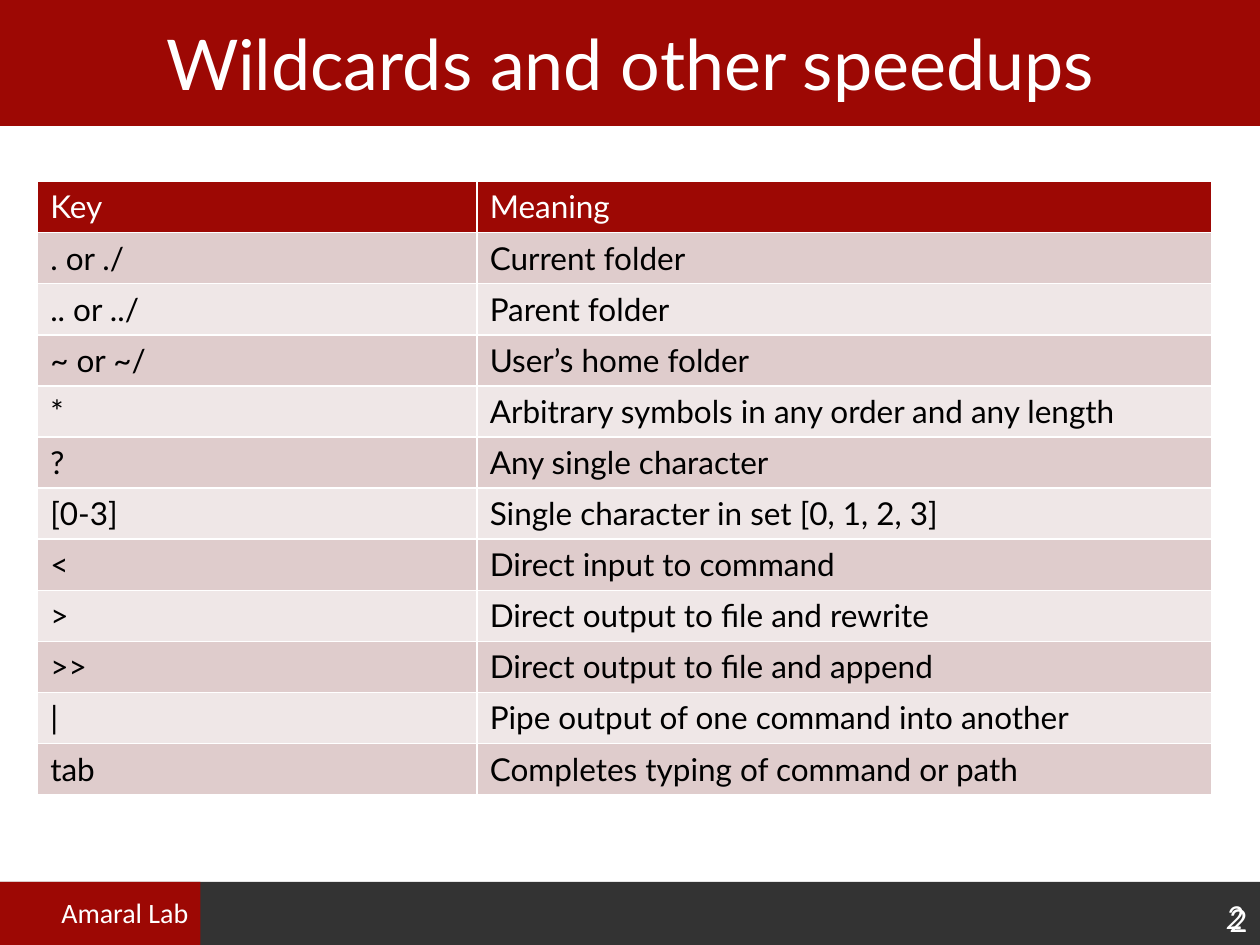
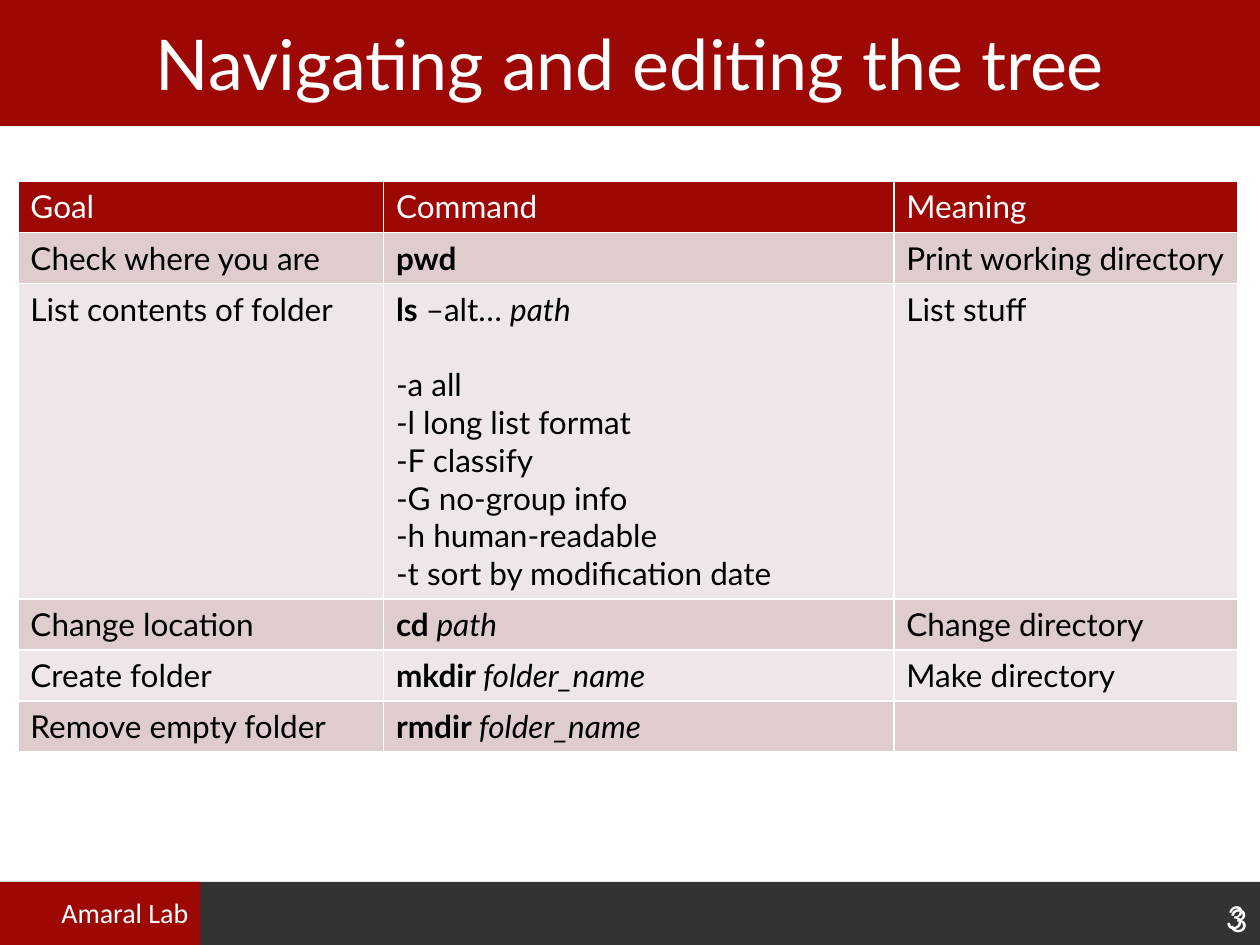
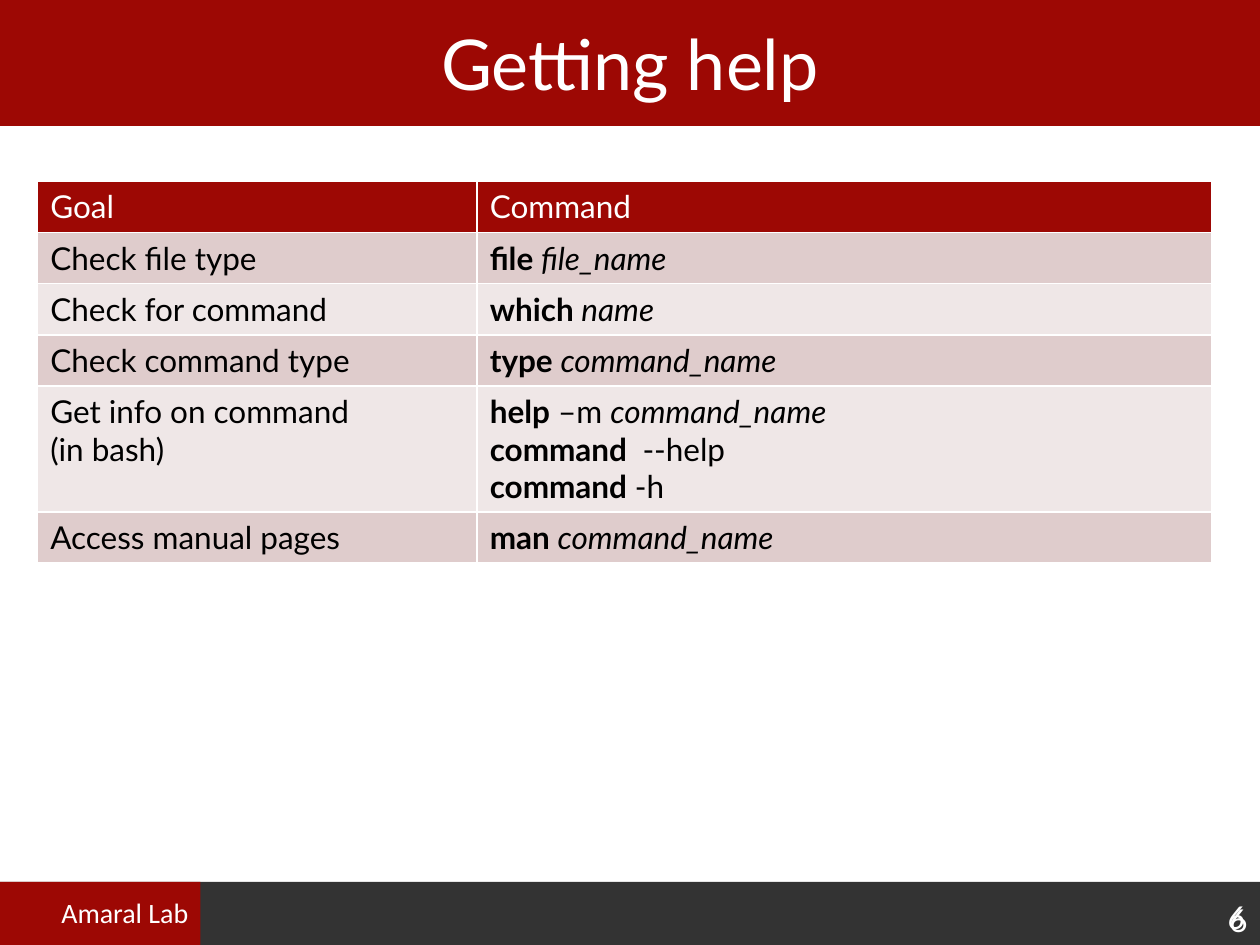
import pptx
import pptx.dml.color
import pptx.enum.shapes
import pptx.enum.text
import pptx.oxml
import pptx.oxml.ns
import pptx.util

Cm, Pt = pptx.util.Cm, pptx.util.Pt
RGBColor = pptx.dml.color.RGBColor
ALIGN, ANCHOR = pptx.enum.text.PP_ALIGN, pptx.enum.text.MSO_ANCHOR

RED = RGBColor(0x9D, 0x08, 0x04)
CHARCOAL = RGBColor(0x33, 0x33, 0x33)
WHITE = RGBColor(0xFF, 0xFF, 0xFF)
BLACK = RGBColor(0x00, 0x00, 0x00)
BAND_COLORS = [RGBColor(0xEF, 0xE7, 0xE7), RGBColor(0xDF, 0xCC, 0xCC)]
WIDTH, HEIGHT = Cm(25.4), Cm(19.05)
TITLE_HEIGHT, FOOTER_HEIGHT = Cm(2.54), Cm(1.27)
FOOTER_TOP = HEIGHT - FOOTER_HEIGHT
TABLE_TOP, ROW_HEIGHT = Cm(3.66), Cm(1.03)
LINE_GAP = Pt(21.6)


def add_run(p, text, size=18, color=BLACK, name="Lato", bold=False, italic=False):
    r = p.add_run()
    r.text = text
    r.font.color.rgb = color
    font = {"size": Pt(size), "name": name, "bold": bold, "italic": italic}
    for key, value in font.items():
        setattr(r.font, key, value)


def add_border(cell):
    for side in "LRTB":
        cell._tc.get_or_add_tcPr().append(pptx.oxml.parse_xml(
            f'<a:ln{side} {pptx.oxml.ns.nsdecls("a")} w="12700"><a:solidFill>'
            f'<a:srgbClr val="{WHITE}"/></a:solidFill></a:ln{side}>'))


# A cell is a string or a list of paragraphs;
# a tuple paragraph holds its bold, plain and italic parts.
slides = [
    {"title": "Wildcards and other speedups", "number": "2",
     "left": Cm(0.76), "columns": [8.86, 14.81],
     "rows": [
         ["Key", "Meaning"],
         [". or ./", "Current folder"],
         [".. or ../", "Parent folder"],
         ["~ or ~/", "User’s home folder"],
         ["*", "Arbitrary symbols in any order and any length"],
         ["?", "Any single character"],
         ["[0-3]", "Single character in set [0, 1, 2, 3]"],
         ["<", "Direct input to command"],
         [">", "Direct output to file and rewrite"],
         [">>", "Direct output to file and append"],
         ["|", "Pipe output of one command into another"],
         ["tab", "Completes typing of command or path"],
     ]},
    {"title": "Navigating and editing the tree", "number": "3",
     "left": Cm(0.36), "columns": [7.37, 10.29, 6.93],
     "rows": [
         ["Goal", "Command", "Meaning"],
         ["Check where you are", [("pwd", "", "")], "Print working directory"],
         ["List contents of folder",
          [("ls", " –alt… ", "path"), "-a all", "-l long list format",
           "-F classify", "-G no-group info", "-h human-readable",
           "-t sort by modification date"],
          "List stuff"],
         ["Change location", [("cd ", "", "path")], "Change directory"],
         ["Create folder", [("mkdir ", "", "folder_name")], "Make directory"],
         ["Remove empty folder", [("rmdir ", "", "folder_name")], ""],
     ]},
    {"title": "Getting help", "number": "6",
     "left": Cm(0.76), "columns": [8.86, 14.81],
     "rows": [
         ["Goal", "Command"],
         ["Check file type", [("file ", "", "file_name")]],
         ["Check for command", [("which ", "", "name")]],
         ["Check command type", [("type ", "", "command_name")]],
         [["Get info on command", "(in bash)"],
          [("help", " –m ", "command_name"), ("command  ", "--help", ""),
           ("command ", "-h", "")]],
         ["Access manual pages", [("man ", "", "command_name")]],
     ]},
]

prs = pptx.Presentation()
prs.slide_width, prs.slide_height = WIDTH, HEIGHT
layout = prs.slide_layouts.get_by_name("Title Only")

# Layout: title place, bands and lab name, drawn once and moved to the layout
title_place = {"left": 0, "top": 0, "width": WIDTH, "height": TITLE_HEIGHT}
for key, value in title_place.items():
    setattr(layout.placeholders[0], key, value)
s = prs.slides.add_slide(layout)
shared = []
for left, top, width, height, color in [
        (0, FOOTER_TOP, WIDTH, FOOTER_HEIGHT, CHARCOAL),
        (0, 0, WIDTH, TITLE_HEIGHT, RED),
        (0, FOOTER_TOP, Cm(4.04), FOOTER_HEIGHT, RED)]:
    sp = s.shapes.add_shape(pptx.enum.shapes.MSO_SHAPE.RECTANGLE,
                            left, top, width, height)
    sp.shadow.inherit = False
    sp.fill.solid()
    sp.fill.fore_color.rgb = color
    sp.line.fill.background()
    shared.append(sp)
sp = s.shapes.add_textbox(Cm(0.99), Cm(17.93), Cm(3.07), Cm(0.94))
add_run(sp.text_frame.paragraphs[0], "Amaral Lab", 16, WHITE, "Calibri")
shared.append(sp)
for shape_id, sp in enumerate(shared, 20):
    sp._element.nvSpPr.cNvPr.set("id", str(shape_id))
    layout.shapes._spTree.append(sp._element)

for index, content in enumerate(slides):
    if index:
        s = prs.slides.add_slide(layout)

    # Title
    tf = s.shapes.title.text_frame
    tf.vertical_anchor = ANCHOR.MIDDLE
    p = tf.paragraphs[0]
    p.alignment = ALIGN.CENTER
    add_run(p, content["title"], 40, WHITE)

    # Slide number: an italic and an upright one, overlapping
    for left, top, width, anchor, italic in [
            (22.99, 17.98, 2.34, ANCHOR.BOTTOM, True),
            (19.48, 18.03, 5.92, ANCHOR.TOP, False)]:
        sp = s.shapes.add_textbox(Cm(left), Cm(top), Cm(width), Cm(1.02))
        tf = sp.text_frame
        tf.word_wrap = True
        tf.vertical_anchor = anchor
        p = tf.paragraphs[0]
        p.alignment = ALIGN.RIGHT
        add_run(p, content["number"], color=WHITE, italic=italic)

    # Table
    rows, columns = content["rows"], content["columns"]
    table = s.shapes.add_table(
        len(rows), len(columns), content["left"], TABLE_TOP,
        Cm(sum(columns)), ROW_HEIGHT * len(rows)).table
    for column, width in zip(table.columns, columns):
        column.width = Cm(width)
    for i, row in enumerate(rows):
        table.rows[i].height = ROW_HEIGHT
        for j, paragraphs in enumerate(row):
            cell = table.cell(i, j)
            add_border(cell)
            cell.fill.solid()
            cell.fill.fore_color.rgb = BAND_COLORS[i % 2] if i else RED
            if isinstance(paragraphs, str):
                paragraphs = [paragraphs]
            tf = cell.text_frame
            for k, parts in enumerate(paragraphs):
                p = tf.add_paragraph() if k else tf.paragraphs[0]
                if isinstance(parts, str):
                    parts = ("", parts, "")
                    # Options stand one line below their command
                    if k and parts[1].startswith("-a"):
                        p.space_before = LINE_GAP
                for n, text in enumerate(parts):
                    if text:
                        add_run(p, text, color=BLACK if i else WHITE,
                                bold=n == 0, italic=n == 2)

prs.save("out.pptx")
